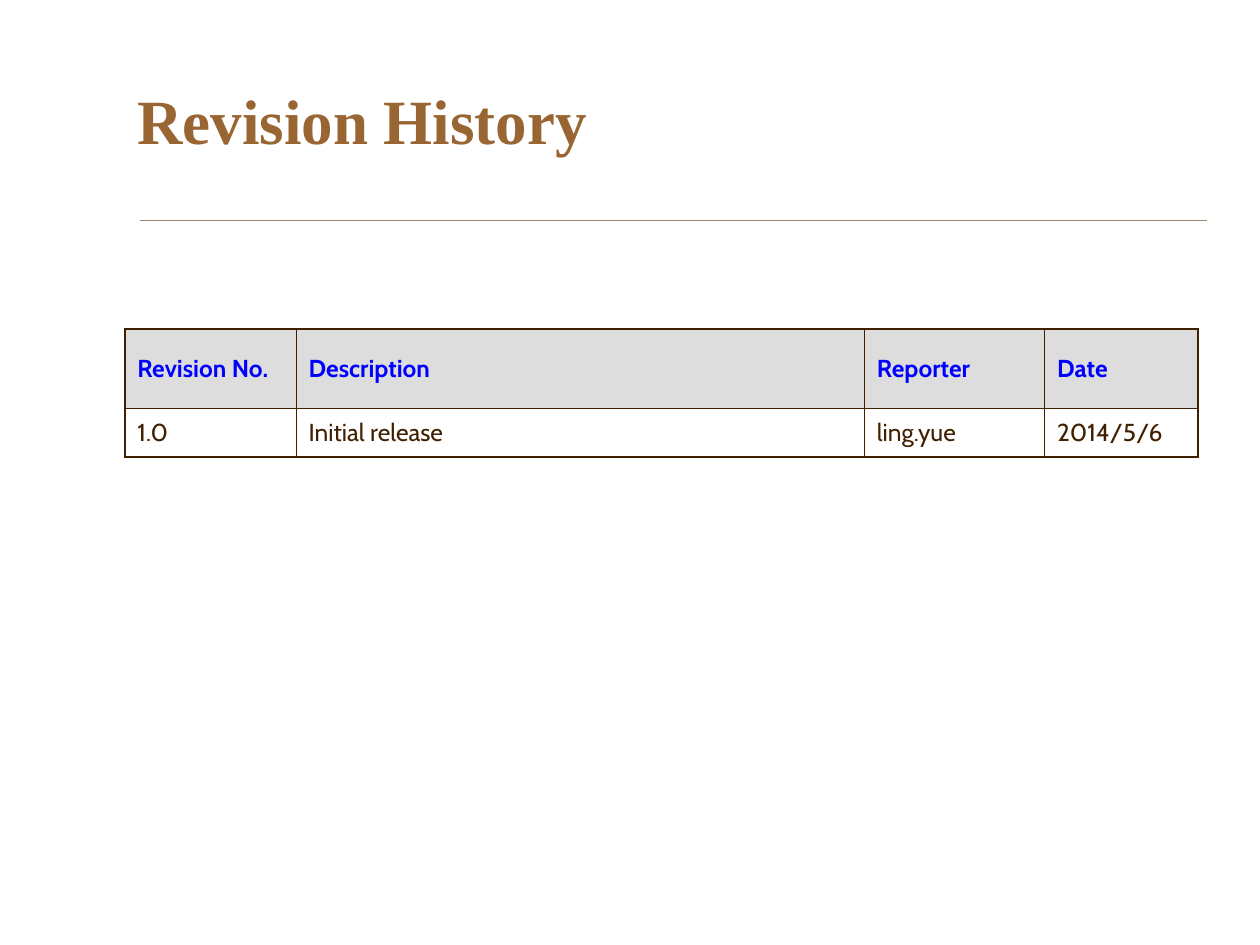
from lxml import etree
from pptx import Presentation
from pptx.dml.color import RGBColor
from pptx.enum.shapes import MSO_CONNECTOR
from pptx.enum.text import MSO_ANCHOR, MSO_AUTO_SIZE, PP_ALIGN
from pptx.oxml.ns import qn
from pptx.util import Inches, Pt

STRAIGHT = MSO_CONNECTOR.STRAIGHT
MIDDLE = MSO_ANCHOR.MIDDLE
LEFT = PP_ALIGN.LEFT
NO_AUTOFIT = MSO_AUTO_SIZE.NONE
TITLE_ONLY = 5

COLORS = {
    "title": "996633",
    "rule": "A08366",
    "header_text": "0000FF",
    "header_fill": "DDDDDD",
    "body": "402000",
}
THIN, THICK = 0.45, 1.08
COL_WIDTHS = [1.36, 4.51, 1.43, 1.22]
ROW_HEIGHTS = [0.63, 0.39]
ROWS = [
    ["Revision No.", "Description", "Reporter", "Date"],
    ["1.0", "Initial release", "ling.yue", "2014/5/6"],
]


def rgb(name):
    return RGBColor.from_string(COLORS[name])


def write(tf, text, *, size, color, font, bold=False, before=0):
    p = tf.paragraphs[0]
    p.alignment = LEFT
    p.space_before = Pt(before)
    r = p.add_run()
    r.text = text
    r.font.name = font
    r.font.size = Pt(size)
    r.font.bold = bold
    r.font.color.rgb = rgb(color)


def add_title(s, text):
    sp = s.shapes.title
    sp.left, sp.top = Inches(0.99), Inches(0.44)
    sp.width, sp.height = Inches(8.5), Inches(1.02)
    tf = sp.text_frame
    tf.auto_size = NO_AUTOFIT
    tf.vertical_anchor = MIDDLE
    write(tf, text, size=36, color="title", font="Times New Roman", bold=True)


def add_rule(s, left, right, y):
    line = s.shapes.add_connector(
        STRAIGHT, Inches(left), Inches(y), Inches(right), Inches(y))
    line.line.color.rgb = rgb("rule")
    line.line.width = Pt(0.25)
    etree.SubElement(line._element.spPr, qn("a:effectLst"))


def set_borders(cell, widths):
    """Draw the left, right, top and bottom borders, with widths in points."""
    tc_pr = cell._tc.get_or_add_tcPr()
    for i, (side, width) in enumerate(zip("LRTB", widths)):
        ln = etree.Element(qn(f"a:ln{side}"), w=str(Pt(width)))
        fill = etree.SubElement(ln, qn("a:solidFill"))
        etree.SubElement(fill, qn("a:srgbClr"), val=COLORS["body"])
        tc_pr.insert(i, ln)


def format_cell(cell, text, header):
    cell.vertical_anchor = MIDDLE
    if header:
        cell.fill.solid()
        cell.fill.fore_color.rgb = rgb("header_fill")
    else:
        cell.fill.background()
    write(cell.text_frame, text, size=14, font="Cabin", bold=header, before=3.5,
          color="header_text" if header else "body")


def add_history_table(s, left, top):
    n_rows, n_cols = len(ROWS), len(COL_WIDTHS)
    table = s.shapes.add_table(
        n_rows, n_cols, Inches(left), Inches(top),
        Inches(sum(COL_WIDTHS)), Inches(sum(ROW_HEIGHTS))).table
    for col, width in zip(table.columns, COL_WIDTHS):
        col.width = Inches(width)
    for row, height in zip(table.rows, ROW_HEIGHTS):
        row.height = Inches(height)
    for i, texts in enumerate(ROWS):
        for j, text in enumerate(texts):
            cell = table.cell(i, j)
            format_cell(cell, text, header=i == 0)
            on_edge = (j == 0, j == n_cols - 1, i == 0, i == n_rows - 1)
            set_borders(cell, [THICK if edge else THIN for edge in on_edge])


def main():
    prs = Presentation()
    prs.slide_width, prs.slide_height = Inches(10), Inches(7.5)
    s = prs.slides.add_slide(prs.slide_layouts[TITLE_ONLY])
    add_title(s, "Revision History")
    add_rule(s, 1.11, 9.58, 1.75)
    add_history_table(s, 0.99, 2.61)
    prs.save("out.pptx")


if __name__ == "__main__":
    main()
